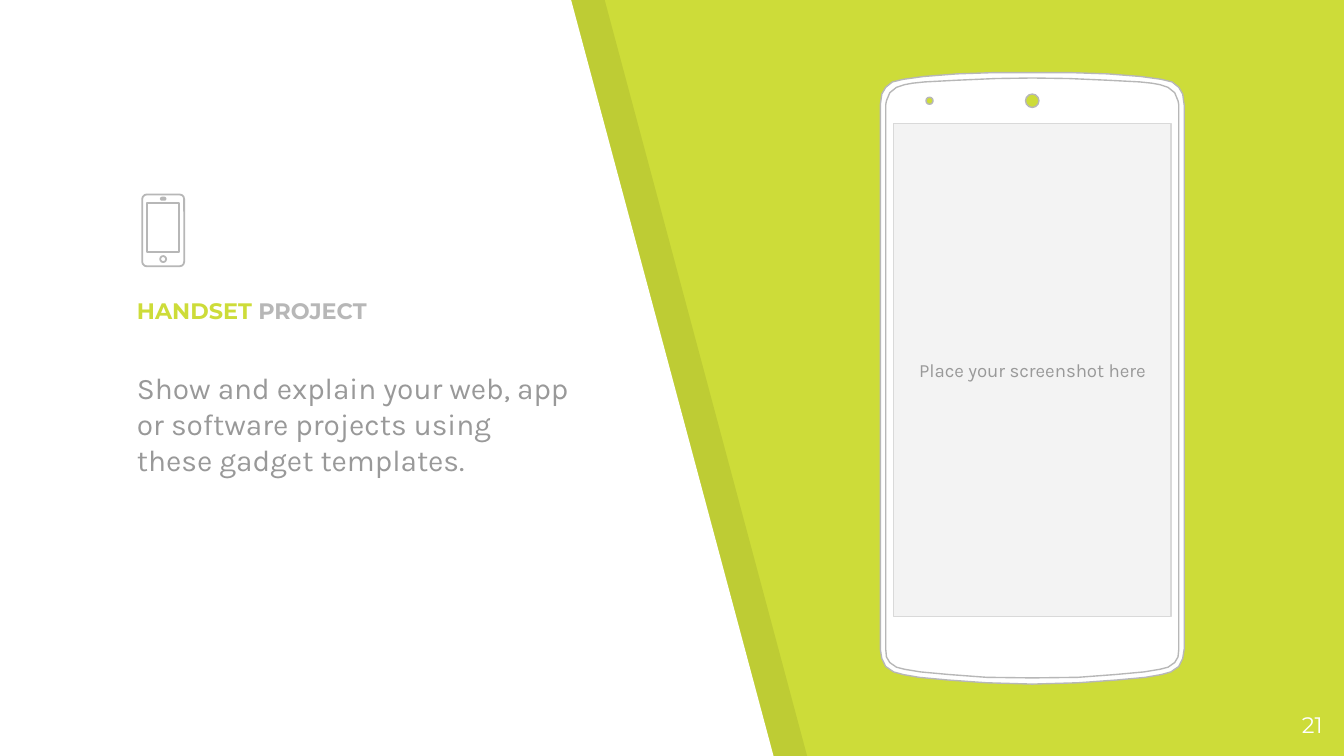
from lxml.etree import SubElement
from pptx import Presentation
from pptx.dml.color import RGBColor
from pptx.enum.shapes import MSO_SHAPE
from pptx.enum.text import MSO_ANCHOR, MSO_AUTO_SIZE, PP_ALIGN
from pptx.oxml.ns import qn
from pptx.util import Pt

HUES = {"lime": "CDDC39", "white": "FFFFFF", "black": "000000", "pale": "F3F3F3",
        "rule": "D9D9D9", "line": "B7B7B7", "text": "999999"}
WIDE, HIGH = 720, 405

TITLE = [("HANDSET", "lime"), (" PROJECT", "line")]
BODY = "Show and explain your web, app or software projects using these gadget templates."
HINT = "Place your screenshot here"
PAGE = "21"

PANEL = [(0, -0.7), (-0.7, 406), (414.7, 406), (306, 0)]
PANELS = [(18, "black", 7), (0, "white", None)]  # shift, fill, opacity

# Right half of each phone outline: distance from the phone's axis, y
AXIS = 553
CASE = [(0, 38.9), (20.2, 38.9), (40.3, 39.6), (58.3, 41), (69.1, 42.5), (74.9, 43.9),
        (78.5, 46.8), (80.6, 50.4), (81.4, 56.2), (81.4, 347.8), (80.6, 352.8),
        (78.5, 357.1), (74.2, 360), (69.1, 361.4), (60.5, 362.9), (45.4, 364.3),
        (24.5, 365.8), (0, 366.5)]
RIM = [(0, 41.8), (19.4, 42.1), (40.3, 43), (57.6, 43.9), (64.1, 44.6), (68.4, 45.4),
       (72.7, 46.8), (76.3, 49.7), (78.1, 54), (78.5, 56.2), (78.5, 347.8),
       (78.1, 352), (76.3, 355), (72.7, 357.5), (68.4, 358.6), (59.8, 360),
       (44.6, 361.4), (24.5, 362.9), (0, 363.2)]
LENSES = [(498, 3.8), (AXIS, 7.2)]  # centre x, diameter
LENS_Y = 54
SCREEN = (478.6, 66.2, 148.8, 264.2)

ICON = [(MSO_SHAPE.ROUNDED_RECTANGLE, (76.2, 104.2, 22.5, 38.5), 0.11),
        (MSO_SHAPE.RECTANGLE, (78.8, 108.9, 17.2, 26.1), None),
        (MSO_SHAPE.ROUNDED_RECTANGLE, (86.2, 105.9, 2.5, 1.2), 0.5),
        (MSO_SHAPE.OVAL, (85.8, 137.2, 3.2, 3.2), None)]


def hue(name):
    return RGBColor.from_string(HUES[name])


def paint(shape, fill=None, line=None, width=0.75, alpha=None):
    shape.shadow.inherit = False
    if fill:
        shape.fill.solid()
        shape.fill.fore_color.rgb = hue(fill)
    else:
        shape.fill.background()
    if alpha:
        tint = shape.fill._xPr.find(".//" + qn("a:srgbClr"))
        SubElement(tint, qn("a:alpha"), val=str(alpha * 1000))
    if line:
        shape.line.color.rgb = hue(line)
        shape.line.width = Pt(width)
    else:
        shape.line.fill.background()
    return shape


def add(kind, box, **style):
    return paint(slide.shapes.add_shape(kind, *map(Pt, box)), **style)


def trace(dots, **style):
    dots = [(Pt(x), Pt(y)) for x, y in dots]
    pen = slide.shapes.build_freeform(*dots[0], scale=1.0)
    pen.add_line_segments(dots[1:], close=True)
    return paint(pen.convert_to_shape(), **style)


def mirror(half):
    return ([(AXIS + x, y) for x, y in half]
            + [(AXIS - x, y) for x, y in half[-2:0:-1]])


def place(shape, box):
    """Move a placeholder to its box and in front of what is drawn so far."""
    shape.left, shape.top, shape.width, shape.height = map(Pt, box)
    shape.element.getparent().append(shape.element)
    return shape


def write(shape, text, hue_name="text", font="Karla", size=16, bold=False,
          align=PP_ALIGN.LEFT, anchor=MSO_ANCHOR.TOP, before=0):
    """Fill a shape with a string or with (string, colour) runs."""
    frame = shape.text_frame
    frame.word_wrap = True
    frame.auto_size = MSO_AUTO_SIZE.NONE
    frame.vertical_anchor = anchor
    frame.margin_left = frame.margin_right = Pt(7.2)
    frame.margin_top = frame.margin_bottom = Pt(7.2)
    para = frame.paragraphs[0]
    para.alignment = align
    para.space_before = Pt(before)
    for part, shade in [(text, hue_name)] if isinstance(text, str) else text:
        run = para.add_run()
        run.text = part
        run.font.name, run.font.size, run.font.bold = font, Pt(size), bold
        run.font.color.rgb = hue(shade)
    return para


deck = Presentation()
deck.slide_width, deck.slide_height = Pt(WIDE), Pt(HIGH)
slide = deck.slides.add_slide(deck.slide_layouts[1])
slide.background.fill.solid()
slide.background.fill.fore_color.rgb = hue("lime")

for shift, fill, alpha in PANELS:
    trace([(x + shift, y) for x, y in PANEL], fill=fill, alpha=alpha)

for half in (CASE, RIM):
    trace(mirror(half), fill="white", line="line")
for x, size in LENSES:
    add(MSO_SHAPE.OVAL, (x - size / 2, LENS_Y - size / 2, size, size),
        fill="lime", line="line")
screen = add(MSO_SHAPE.RECTANGLE, SCREEN, fill="pale", line="rule")
write(screen, HINT, size=10, align=PP_ALIGN.CENTER, anchor=MSO_ANCHOR.MIDDLE)

write(place(slide.shapes.title, (66.2, 142.6, 247.7, 38.2)), TITLE,
      font="Montserrat", size=12, bold=True, anchor=MSO_ANCHOR.BOTTOM)
body = write(place(slide.placeholders[1], (66.2, 190.8, 247.7, 177.8)), BODY, before=6)
props = body._p.get_or_add_pPr()
props.set("marL", "0")
props.set("indent", "0")
SubElement(props, qn("a:buNone"))

for kind, box, curve in ICON:
    part = add(kind, box, line="line", width=0.96)
    if curve:
        part.adjustments[0] = curve

number = slide.shapes.add_textbox(*map(Pt, (672.5, 373.7, 43.2, 31)))
write(number, PAGE, hue_name="white", font="Montserrat", size=12, align=PP_ALIGN.RIGHT)

deck.save("out.pptx")
